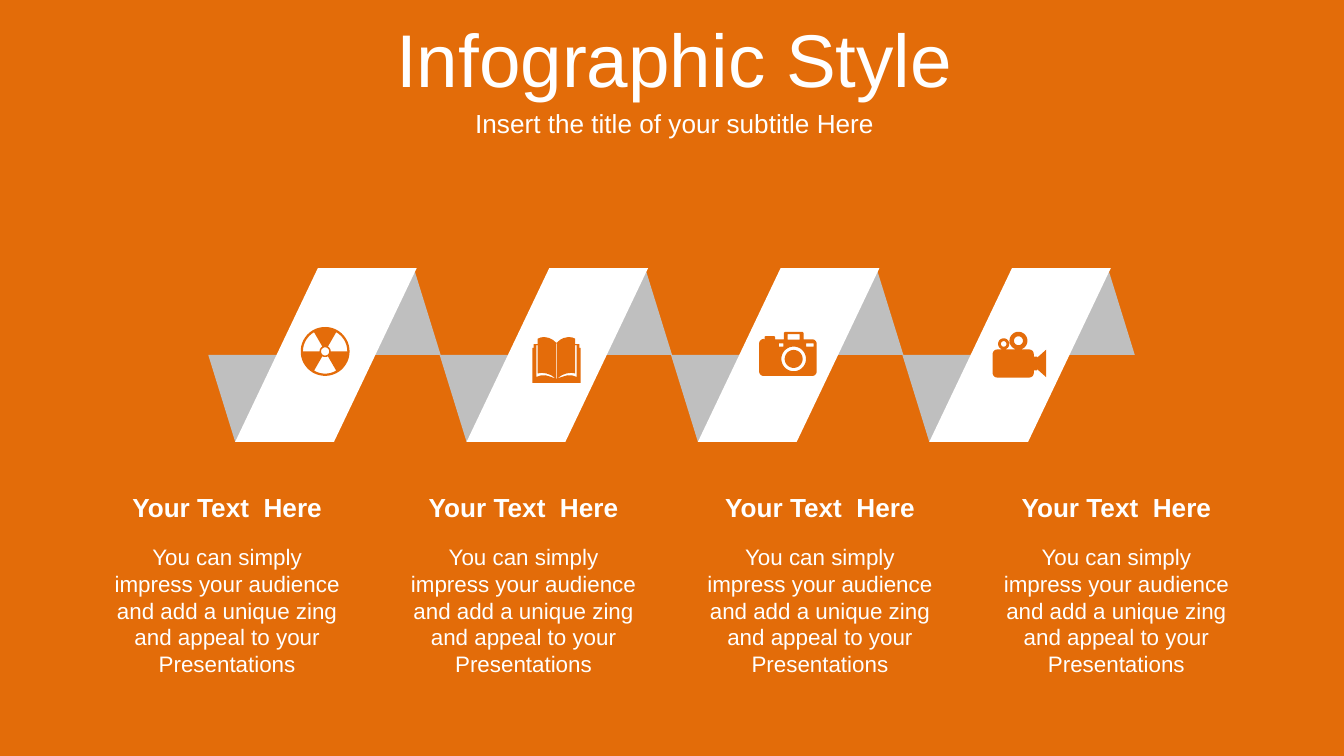
from math import cos, radians, sin

from pptx import Presentation
from pptx.dml.color import RGBColor
from pptx.enum.shapes import MSO_SHAPE
from pptx.enum.text import MSO_ANCHOR, PP_ALIGN
from pptx.util import Pt

ORANGE, ICON_ORANGE, WHITE, GRAY = "E36C09", "E46C0A", "FFFFFF", "BFBFBF"
BODY = ("You can simply impress your audience and add a unique zing "
        "and appeal to your Presentations")

RIBBON_LEFT, RIBBON_TOP, RIBBON_PITCH = 111.6, 143.7, 123.95
FOLD_HEIGHT, FOLD_WIDTH, FOLD_SKEW = 46.5, 50.4, 14.4
TEXT_LEFT, TEXT_PITCH, TEXT_WIDTH = 52.6, 158.8, 138.2


def color(hex_string):
    return RGBColor.from_string(hex_string)


def paint(shape, fill):
    shape.fill.solid()
    shape.fill.fore_color.rgb = color(fill)
    shape.line.fill.background()
    shape.shadow.inherit = False


def add_text(slide, text, left, top, width, height, size, bold=False, title=False):
    box = slide.shapes.add_textbox(Pt(left), Pt(top), Pt(width), Pt(height))
    frame = box.text_frame
    frame.word_wrap = True
    if title:
        frame.vertical_anchor = MSO_ANCHOR.MIDDLE
        frame.margin_top = frame.margin_bottom = Pt(7.2)
    frame.text = text
    paragraph = frame.paragraphs[0]
    paragraph.alignment = PP_ALIGN.CENTER
    font = paragraph.runs[0].font
    font.name, font.size, font.bold = "Arial", Pt(size), bold
    font.color.rgb = color(WHITE)


def add_outline(slide, contours, left, top, fill):
    """Draw closed contours as one shape; inner contours become holes."""
    contours = [[(Pt(left + x), Pt(top + y)) for x, y in contour]
                for contour in contours]
    builder = slide.shapes.build_freeform(*contours[0][0], scale=1.0)
    for number, contour in enumerate(contours):
        if number:
            builder.move_to(*contour[0])
        builder.add_line_segments(contour[1:], close=True)
    paint(builder.convert_to_shape(), fill)


# Contours
def arc(x, y, radius, start=0, end=360):
    steps = max(6, (end - start) // 8)
    angles = [radians(start + (end - start) * i / steps) for i in range(steps + 1)]
    return [(x + radius * cos(a), y + radius * sin(a)) for a in angles]


def box(left, top, right, bottom, radius=0):
    if not radius:
        return [(left, top), (right, top), (right, bottom), (left, bottom)]
    return (arc(left + radius, top + radius, radius, 180, 270)
            + arc(right - radius, top + radius, radius, 270, 360)
            + arc(right - radius, bottom - radius, radius, 0, 90)
            + arc(left + radius, bottom - radius, radius, 90, 180))


def mirror(contour, width):
    return [(width - x, y) for x, y in reversed(contour)]


# Icons
def radiation_icon():
    center = 13.1
    wedges = [arc(center, center, 11.9, start, start + 60)
              + arc(center, center, 3, start, start + 60)[::-1]
              for start in (60, 180, 300)]
    return [arc(center, center, 13.1), arc(center, center, 2.2), *wedges]


def book_icon():
    width = 25.9
    half = [(0, 24.5), (0, 5.8), (0.7, 5.8), (0.7, 3.8), (2.9, 3.8), (2.9, 0.9),
            (4.6, 0.2), (6.5, 0), (9, 0.5), (11, 1.5), (12.7, 3)]
    page_edge = [(2.9, 4.3), (2.2, 4.3), (2.2, 21.4), (4.5, 20.6), (7, 20.5),
                 (9.5, 21.2), (12.7, 22.3), (10, 20.4), (7.5, 19.5),
                 (5, 19.2), (2.9, 19.5)]
    return [half + mirror(half, width), page_edge, mirror(page_edge, width),
            box(12.75, 3.4, 13.15, 22.3)]


def camera_icon():
    body = (arc(2.5, 6.3, 2.5, 180, 270)
            + [(2.9, 4.1), (2.9, 2.6), (3.4, 2.3), (8.1, 2.3), (8.6, 2.8),
               (8.6, 4), (13.2, 4), (13.2, 0.6), (13.8, 0), (23.2, 0),
               (23.8, 0.6), (23.8, 4)]
            + arc(28.4, 6.4, 2.4, 270, 360) + arc(28.4, 21.2, 2.4, 0, 90)
            + arc(2.4, 21.2, 2.4, 90, 180))
    return [body, arc(18.5, 14.5, 6.6), arc(18.5, 14.5, 4.8),
            box(10.6, 6.2, 13, 7.9), box(25.2, 6.2, 29.2, 7.9),
            box(15.3, 1.2, 21.7, 4.2)]


def film_camera_icon():
    horn = [(23.8, 13.9), (28.6, 9.6), (28.6, 24.3), (23.8, 20)]
    return [box(0, 9.5, 22, 24.5, 2.4), box(22, 13.3, 23.8, 20.7), horn,
            arc(13.8, 4.8, 4.8), arc(13.8, 4.8, 2.4),
            arc(5.9, 6.5, 3), arc(5.9, 6.5, 1.5)]


def add_ribbon(slide, left):
    fold = [(0, 0), (FOLD_WIDTH, 0), (FOLD_WIDTH + FOLD_SKEW, FOLD_HEIGHT),
            (FOLD_SKEW, FOLD_HEIGHT)]
    add_outline(slide, [fold], left, RIBBON_TOP + FOLD_HEIGHT, GRAY)
    add_outline(slide, [fold], left + 59.7, RIBBON_TOP, GRAY)
    band = slide.shapes.add_shape(
        MSO_SHAPE.PARALLELOGRAM, Pt(left + FOLD_SKEW), Pt(RIBBON_TOP),
        Pt(97.2), Pt(2 * FOLD_HEIGHT))
    band.adjustments[0] = 0.476
    paint(band, WHITE)


def main():
    presentation = Presentation()
    presentation.slide_width, presentation.slide_height = Pt(720), Pt(405)
    slide = presentation.slides.add_slide(presentation.slide_layouts[6])
    slide.background.fill.solid()
    slide.background.fill.fore_color.rgb = color(ORANGE)

    # Folded ribbon
    for column in range(4):
        add_ribbon(slide, RIBBON_LEFT + column * RIBBON_PITCH)

    # Icons on the bands
    icons = [(radiation_icon(), 161.1, 175.2), (book_icon(), 285.2, 180.6),
             (camera_icon(), 406.7, 177.8), (film_camera_icon(), 531.8, 177.8)]
    for contours, left, top in icons:
        add_outline(slide, contours, left, top, ICON_ORANGE)

    # Text columns
    for column in range(4):
        left = TEXT_LEFT + column * TEXT_PITCH
        add_text(slide, BODY, left, 287.3, TEXT_WIDTH, 79.9, 12)
        add_text(slide, "Your Text  Here", left, 259.9, TEXT_WIDTH, 24.5, 14, bold=True)

    # Title and subtitle
    add_text(slide, "Infographic Style", 2.2, 9.4, 717.8, 43.2, 40, title=True)
    add_text(slide, "Insert the title of your subtitle Here",
             3.6, 54.7, 715.7, 22.3, 14, title=True)

    presentation.save("out.pptx")


if __name__ == "__main__":
    main()
